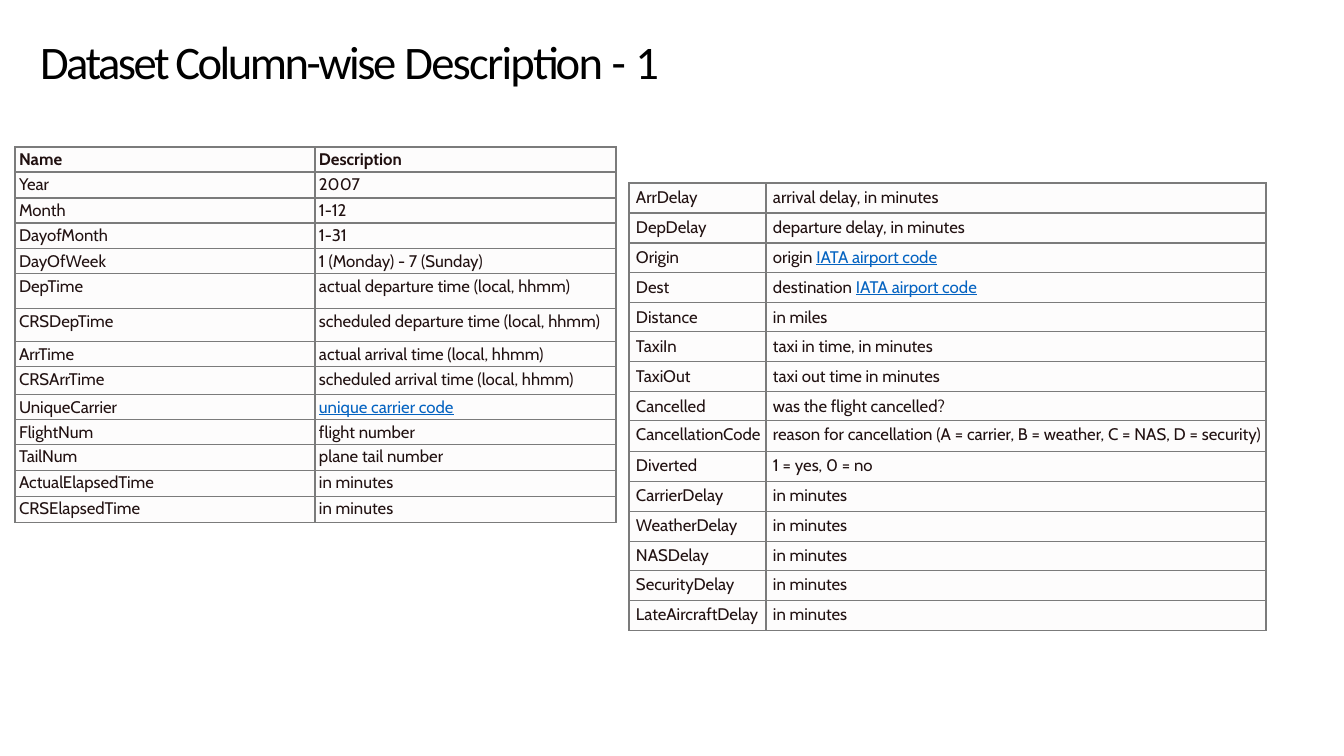
from dataclasses import dataclass

from lxml.etree import SubElement
from pptx import Presentation
from pptx.dml.color import RGBColor
from pptx.enum.text import MSO_ANCHOR, MSO_AUTO_SIZE, PP_ALIGN
from pptx.oxml.ns import qn
from pptx.util import Emu, Pt

COLORS = {
    "title": "000000",
    "text": "211111",
    "link": "0563C1",
    "cell": "FDFCFC",
    "border": "7B7B7B",
}
LINK_MARK = "|"


@dataclass
class ColumnTable:
    left: int
    top: int
    column_widths: list[int]
    row_heights: list[int]
    rows: list[tuple[str, str]]
    inset_top: int
    indent: int
    space_before: float
    has_header: bool = False


def px(pixels: int) -> Emu:
    return Emu(round(pixels * 914400 / 100.8))


def add_text(paragraph, text: str, *, font: str = "Cabin", size: float = 12, color: str = "text",
             bold: bool = False, underline: bool = False, spacing: float = 0) -> None:
    run = paragraph.add_run()
    run.text = text
    run.font.name = font
    run.font.size = Pt(size)
    run.font.bold = bold
    run.font.underline = underline
    run.font.color.rgb = RGBColor.from_string(COLORS[color])
    run.font._element.set("spc", str(round(spacing * 100)))


def format_paragraph(paragraph, indent: int, space_before: float) -> None:
    paragraph.alignment = PP_ALIGN.LEFT
    paragraph.space_before = Pt(space_before)
    properties = paragraph._p.get_or_add_pPr()
    properties.set("marL", str(px(indent)))
    properties.set("indent", "0")


def set_borders(cell) -> None:
    properties = cell._tc.get_or_add_tcPr()
    for side in ("lnL", "lnR", "lnT", "lnB"):
        line = SubElement(properties, qn(f"a:{side}"), w=str(Pt(1)))
        fill = SubElement(line, qn("a:solidFill"))
        SubElement(fill, qn("a:srgbClr"), val=COLORS["border"])


def fill_cell(cell, text: str, layout: ColumnTable, bold: bool) -> None:
    set_borders(cell)
    cell.fill.solid()
    cell.fill.fore_color.rgb = RGBColor.from_string(COLORS["cell"])
    cell.margin_left = cell.margin_right = cell.margin_bottom = 0
    cell.margin_top = px(layout.inset_top)
    paragraph = cell.text_frame.paragraphs[0]
    format_paragraph(paragraph, layout.indent, layout.space_before)
    plain, _, link = text.partition(LINK_MARK)
    if plain:
        add_text(paragraph, plain, bold=bold)
    if link:
        add_text(paragraph, link, color="link", underline=True)


def draw_table(slide, layout: ColumnTable) -> None:
    table = slide.shapes.add_table(
        len(layout.rows), len(layout.column_widths), px(layout.left), px(layout.top),
        px(sum(layout.column_widths)), px(sum(layout.row_heights)),
    ).table
    table.first_row = layout.has_header
    table.horz_banding = False
    for column, width in zip(table.columns, layout.column_widths):
        column.width = px(width)
    for row_index, (row, height) in enumerate(zip(table.rows, layout.row_heights)):
        row.height = px(height)
        for cell, text in zip(row.cells, layout.rows[row_index]):
            fill_cell(cell, text, layout, bold=layout.has_header and row_index == 0)


def draw_title(slide) -> None:
    title = slide.shapes.title
    title.left, title.top, title.width, title.height = px(38), px(31), px(684), px(58)
    frame = title.text_frame
    frame.margin_left = frame.margin_right = frame.margin_bottom = 0
    frame.margin_top = px(2)
    frame.vertical_anchor = MSO_ANCHOR.MIDDLE
    frame.word_wrap = True
    frame.auto_size = MSO_AUTO_SIZE.SHAPE_TO_FIT_TEXT
    paragraph = frame.paragraphs[0]
    format_paragraph(paragraph, 2, 1.3)
    for text, spacing in [("Dataset Column-wise ", -1.8), ("Description ", -1.3), ("- ", -0.9), ("1", -1.7)]:
        add_text(paragraph, text, font="Calibri", size=33.3, color="title", spacing=spacing)


SCHEDULE_COLUMNS = ColumnTable(
    left=15, top=147, column_widths=[300, 301],
    row_heights=[25, 26, 25, 26, 25, 35, 33, 25, 28, 25, 25, 26, 26, 26],
    rows=[
        ("Name", "Description"),
        ("Year", "2007"),
        ("Month", "1-12"),
        ("DayofMonth", "1-31"),
        ("DayOfWeek", "1 (Monday) - 7 (Sunday)"),
        ("DepTime", "actual departure time (local, hhmm)"),
        ("CRSDepTime", "scheduled departure time (local, hhmm)"),
        ("ArrTime", "actual arrival time (local, hhmm)"),
        ("CRSArrTime", "scheduled arrival time (local, hhmm)"),
        ("UniqueCarrier", "|unique carrier code"),
        ("FlightNum", "flight number"),
        ("TailNum", "plane tail number"),
        ("ActualElapsedTime", "in minutes"),
        ("CRSElapsedTime", "in minutes"),
    ],
    inset_top=2, indent=4, space_before=1.1, has_header=True,
)
DELAY_COLUMNS = ColumnTable(
    left=629, top=183, column_widths=[137, 500],
    row_heights=[30, 30, 30, 30, 29, 30, 30, 29, 31, 30, 30, 30, 29, 30, 30],
    rows=[
        ("ArrDelay", "arrival delay, in minutes"),
        ("DepDelay", "departure delay, in minutes"),
        ("Origin", "origin |IATA airport code"),
        ("Dest", "destination |IATA airport code"),
        ("Distance", "in miles"),
        ("TaxiIn", "taxi in time, in minutes"),
        ("TaxiOut", "taxi out time in minutes"),
        ("Cancelled", "was the flight cancelled?"),
        ("CancellationCode", "reason for cancellation (A = carrier, B = weather, C = NAS, D = security)"),
        ("Diverted", "1 = yes, 0 = no"),
        ("CarrierDelay", "in minutes"),
        ("WeatherDelay", "in minutes"),
        ("NASDelay", "in minutes"),
        ("SecurityDelay", "in minutes"),
        ("LateAircraftDelay", "in minutes"),
    ],
    inset_top=4, indent=7, space_before=2.4,
)


presentation = Presentation()
presentation.slide_width = px(1344)
presentation.slide_height = px(756)
slide = presentation.slides.add_slide(presentation.slide_layouts[5])
draw_title(slide)
for column_table in (SCHEDULE_COLUMNS, DELAY_COLUMNS):
    draw_table(slide, column_table)
presentation.save("out.pptx")
